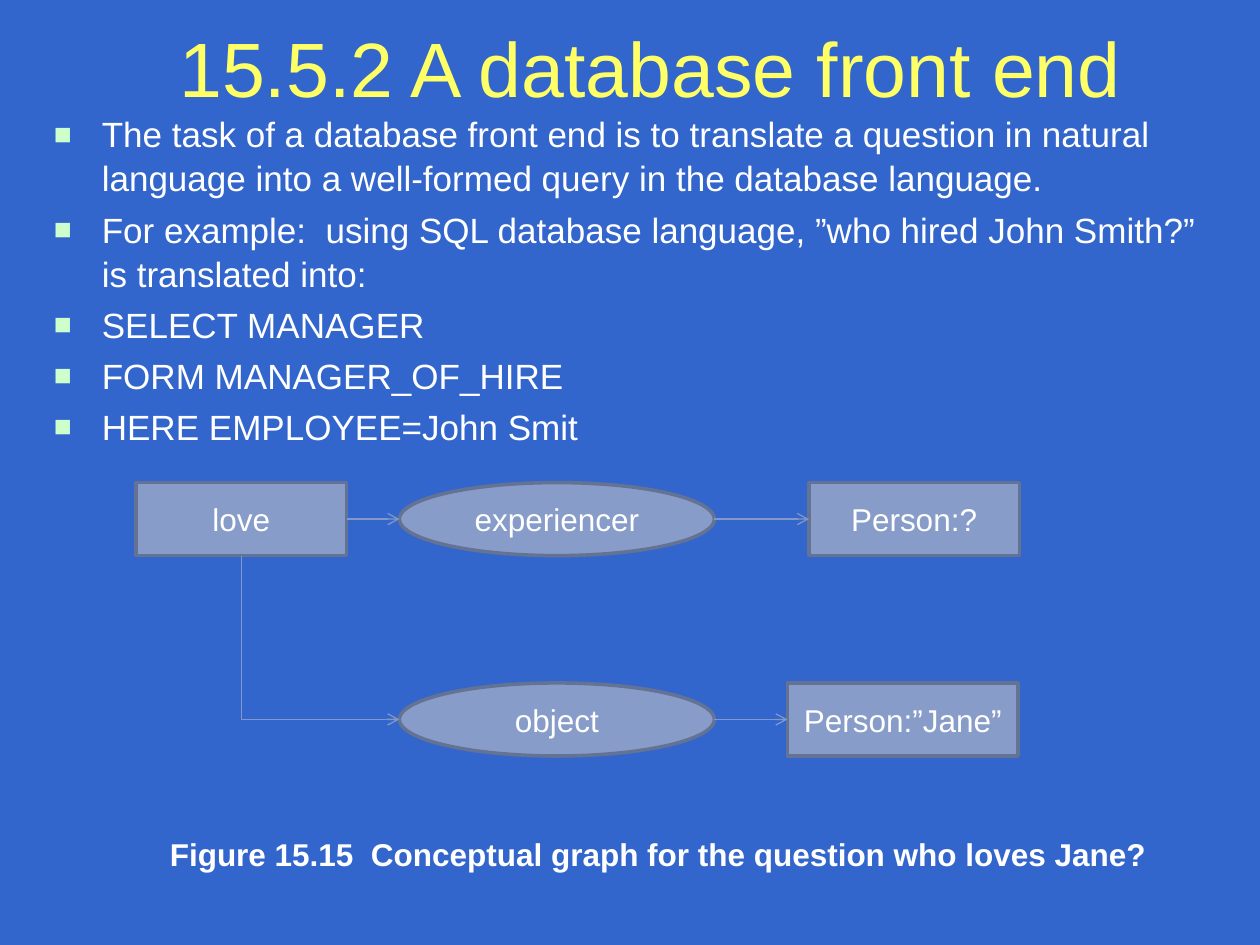
from dataclasses import dataclass

from lxml.etree import SubElement
from pptx import Presentation
from pptx.dml.color import RGBColor
from pptx.enum.shapes import MSO_CONNECTOR, MSO_SHAPE
from pptx.enum.text import MSO_ANCHOR, PP_ALIGN
from pptx.oxml.ns import qn
from pptx.util import Inches, Pt


@dataclass(frozen=True)
class Theme:
    font: str = "Arial"
    background: str = "3366CC"
    title: str = "FFFF66"
    text: str = "FFFFFF"
    bullet: str = "CCFFCC"
    node: str = "879CC8"
    outline: str = "647394"
    arrow: str = "8298C5"
    title_size: int = 44
    body_size: int = 20
    label_size: int = 18


THEME = Theme()
TITLE = "15.5.2 A database front end"
BULLETS = [
    "The task of a database front end is to translate a question in natural "
    "language into a well-formed query in the database language.",
    "For example:  using SQL database language, ”who hired John Smith?” "
    "is translated into:",
    "SELECT MANAGER",
    "FORM MANAGER_OF_HIRE",
    "HERE EMPLOYEE=John Smit",
]
CAPTION = "Figure 15.15  Conceptual graph for the question who loves Jane?"

ROW_TOPS = [3.83, 5.42]
NODE_HEIGHT = 0.58
# label, shape, row, left, width
NODES = [
    ("love", MSO_SHAPE.RECTANGLE, 0, 1.08, 1.67),
    ("Person:?", MSO_SHAPE.RECTANGLE, 0, 6.42, 1.67),
    ("Person:”Jane”", MSO_SHAPE.RECTANGLE, 1, 6.25, 1.83),
    ("experiencer", MSO_SHAPE.OVAL, 0, 3.17, 2.5),
    ("object", MSO_SHAPE.OVAL, 1, 3.17, 2.5),
]
STRAIGHT_LINKS = [("love", "experiencer"), ("experiencer", "Person:?"),
                  ("object", "Person:”Jane”")]
BENT_LINK = ("love", "object")


def color(value):
    return RGBColor.from_string(value)


def add_span(para, text, size, ink=THEME.text, bold=False):
    span = para.add_run()
    span.text = text
    span.font.name = THEME.font
    span.font.size = Pt(size)
    span.font.bold = bold
    span.font.color.rgb = color(ink)


def add_box(page, left, top, width, height, wrap=True):
    box = page.shapes.add_textbox(*map(Inches, (left, top, width, height)))
    box.text_frame.word_wrap = wrap
    return box.text_frame


def add_bullet(para):
    properties = para._p.get_or_add_pPr()
    properties.set("marL", str(Inches(0.38)))
    properties.set("indent", str(-Inches(0.38)))
    ink = SubElement(properties, qn("a:buClr"))
    SubElement(ink, qn("a:srgbClr"), val=THEME.bullet)
    SubElement(properties, qn("a:buSzPct"), val="85000")
    SubElement(properties, qn("a:buFont"), typeface=THEME.font)
    SubElement(properties, qn("a:buChar"), char="■")


def add_title(page):
    frame = add_box(page, 0.33, 0.25, 9.67, 0.56)
    frame.margin_top = frame.margin_bottom = 0
    frame.vertical_anchor = MSO_ANCHOR.MIDDLE
    para = frame.paragraphs[0]
    para.alignment = PP_ALIGN.CENTER
    add_span(para, TITLE, THEME.title_size, THEME.title)


def add_body(page):
    frame = add_box(page, 0.33, 0.83, 9.34, 5.84)
    for index, text in enumerate(BULLETS):
        para = frame.add_paragraph() if index else frame.paragraphs[0]
        add_bullet(para)
        para.line_spacing = 1.05
        if index:
            para.space_before = Pt(4)
        add_span(para, text, THEME.body_size)


def add_node(page, label, kind, row, left, width):
    node = page.shapes.add_shape(
        kind, *map(Inches, (left, ROW_TOPS[row], width, NODE_HEIGHT)))
    node.shadow.inherit = False
    node.fill.solid()
    node.fill.fore_color.rgb = color(THEME.node)
    node.line.color.rgb = color(THEME.outline)
    node.line.width = Pt(2)
    frame = node.text_frame
    frame.word_wrap = True
    frame.vertical_anchor = MSO_ANCHOR.MIDDLE
    para = frame.paragraphs[0]
    para.alignment = PP_ALIGN.CENTER
    add_span(para, label, THEME.label_size)
    return node


def add_arrow(page, kind, *ends):
    arrow = page.shapes.add_connector(kind, *ends)
    arrow.line.color.rgb = color(THEME.arrow)
    arrow.line.width = Pt(0.75)
    SubElement(arrow.line._get_or_add_ln(), qn("a:tailEnd"), type="arrow")
    SubElement(arrow._element.spPr, qn("a:effectLst"))
    return arrow


def middle(node):
    return node.top + node.height // 2


def link_straight(page, source, target):
    add_arrow(page, MSO_CONNECTOR.STRAIGHT,
              source.left + source.width, middle(source),
              target.left, middle(target))


def link_bent(page, source, target):
    """Go down from the source, then right: a mirrored elbow turned by 270°."""
    start_x = source.left + source.width // 2
    start_y = source.top + source.height
    end_x, end_y = target.left, middle(target)
    center_x, center_y = (start_x + end_x) // 2, (start_y + end_y) // 2
    half_width, half_height = (end_y - start_y) // 2, (end_x - start_x) // 2
    arrow = add_arrow(page, MSO_CONNECTOR.ELBOW,
                      center_x + half_width, center_y - half_height,
                      center_x - half_width, center_y + half_height)
    properties = arrow._element.spPr
    properties.find(qn("a:xfrm")).set("rot", str(270 * 60000))
    properties.find(qn("a:prstGeom")).set("prst", "bentConnector2")


def main():
    deck = Presentation()
    deck.slide_width, deck.slide_height = Inches(10), Inches(7.5)
    page = deck.slides.add_slide(deck.slide_layouts[6])
    page.background.fill.solid()
    page.background.fill.fore_color.rgb = color(THEME.background)

    add_title(page)
    add_body(page)
    nodes = {node[0]: add_node(page, *node) for node in NODES}
    for source, target in STRAIGHT_LINKS:
        link_straight(page, nodes[source], nodes[target])
    link_bent(page, *(nodes[label] for label in BENT_LINK))

    caption = add_box(page, 1.25, 6.58, 8.03, 0.4, wrap=False)
    add_span(caption.paragraphs[0], CAPTION, THEME.label_size, bold=True)
    deck.save("out.pptx")


if __name__ == "__main__":
    main()
